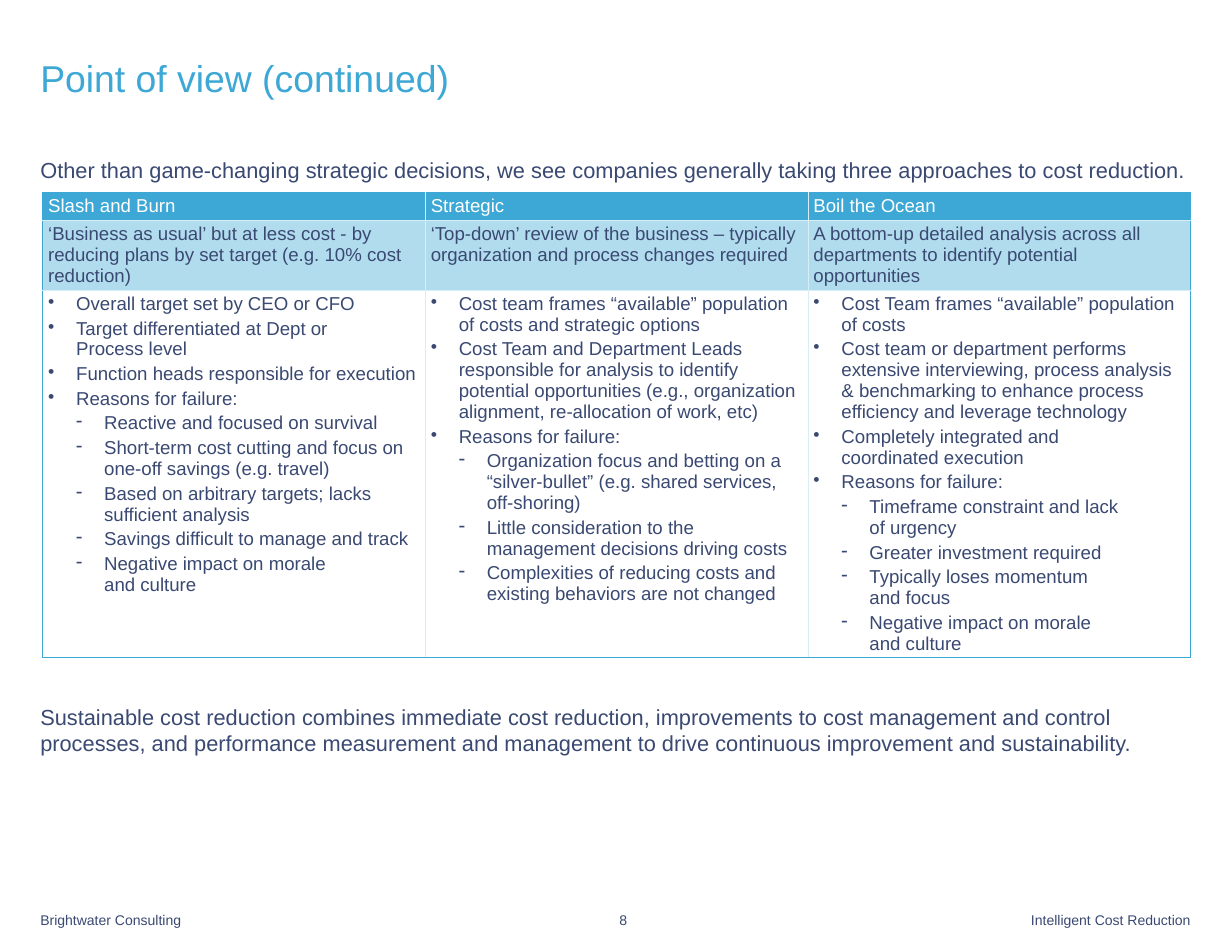
from dataclasses import dataclass

from lxml import etree
from pptx import Presentation
from pptx.dml.color import RGBColor
from pptx.enum.text import MSO_ANCHOR, MSO_AUTO_SIZE, PP_ALIGN
from pptx.oxml.ns import qn
from pptx.util import Inches, Pt

TOP, BOTTOM = MSO_ANCHOR.TOP, MSO_ANCHOR.BOTTOM
LEFT, RIGHT = PP_ALIGN.LEFT, PP_ALIGN.RIGHT
NO_FIT = MSO_AUTO_SIZE.NONE


@dataclass(frozen=True)
class Theme:
    font: str = "Arial"
    ink: str = "3A4972"
    blue: str = "3DA8D5"
    pale: str = "B1DCEE"
    rule: str = "D8EEF7"
    white: str = "FFFFFF"
    title: int = 24
    body: int = 14
    cell: int = 12
    foot: int = 9


THEME = Theme()
MARKS = ("", "•", "-")  # bullet by list level
FAIL = (1, "Reasons for failure:")
MORALE = (2, "Negative impact on morale \nand culture")

# One entry per approach: name, summary, points as (level, text)
PLANS = [
    ("Slash and Burn",
     "‘Business as usual’ but at less cost - by reducing plans by set target "
     "(e.g. 10% cost reduction)",
     [(1, "Overall target set by CEO or CFO"),
      (1, "Target differentiated at Dept or \nProcess level"),
      (1, "Function heads responsible for execution"),
      FAIL,
      (2, "Reactive and focused on survival"),
      (2, "Short-term cost cutting and focus on one-off savings (e.g. travel)"),
      (2, "Based on arbitrary targets; lacks sufficient analysis"),
      (2, "Savings difficult to manage and track"),
      MORALE]),
    ("Strategic",
     "‘Top-down’ review of the business – typically organization and process "
     "changes required",
     [(1, "Cost team frames “available” population of costs and strategic options"),
      (1, "Cost Team and Department Leads responsible for analysis to identify "
          "potential opportunities (e.g., organization alignment, "
          "re-allocation of work, etc)"),
      FAIL,
      (2, "Organization focus and betting on a “silver-bullet” "
          "(e.g. shared services, off-shoring)"),
      (2, "Little consideration to the management decisions driving costs"),
      (2, "Complexities of reducing costs and existing behaviors are not changed")]),
    ("Boil the Ocean",
     "A bottom-up detailed analysis across all departments to identify "
     "potential opportunities",
     [(1, "Cost Team frames “available” population of costs"),
      (1, "Cost team or department performs extensive interviewing, process "
          "analysis & benchmarking to enhance process efficiency and leverage "
          "technology"),
      (1, "Completely integrated and \ncoordinated execution"),
      FAIL,
      (2, "Timeframe constraint and lack \nof urgency"),
      (2, "Greater investment required"),
      (2, "Typically loses momentum \nand focus"),
      MORALE]),
]

INTRO = ("Other than game-changing strategic decisions, we see companies "
         "generally taking three approaches to cost reduction.")
CLOSE = ("Sustainable cost reduction combines immediate cost reduction, "
         "improvements to cost management and control processes, and "
         "performance measurement and management to drive continuous "
         "improvement and sustainability.")


def add_para(frame, text, size, color, level=0, align=LEFT, first=True):
    para = frame.paragraphs[0] if first else frame.add_paragraph()
    para.alignment = align
    para.line_spacing = 1.0
    para.space_before = Pt(0)
    para.space_after = Pt(size * 0.2)
    props = para._p.get_or_add_pPr()
    props.set("marL", str(Inches(0.25 * level)))
    props.set("indent", str(Inches(-0.25 if level else 0)))
    if level:
        para.level = level
        etree.SubElement(props, qn("a:buChar"), char=MARKS[level])
    else:
        etree.SubElement(props, qn("a:buNone"))
    for i, line in enumerate(text.split("\n")):
        if i:
            para.add_line_break()
        run = para.add_run()
        run.text = line
        run.font.name = THEME.font
        run.font.size = Pt(size)
        run.font.color.rgb = RGBColor.from_string(color)


def set_text(shape, box, text, size, color, align=LEFT, anchor=TOP):
    shape.left, shape.top, shape.width, shape.height = map(Inches, box)
    frame = shape.text_frame
    frame.auto_size = NO_FIT
    frame.word_wrap = True
    frame.vertical_anchor = anchor
    frame.margin_left = frame.margin_right = 0
    frame.margin_top = frame.margin_bottom = 0
    add_para(frame, text, size, color, align=align)


def add_text(slide, box, *args, **style):
    shape = slide.shapes.add_textbox(*map(Inches, box))
    set_text(shape, box, *args, **style)


def set_edge(cell, side, outer):
    color, width = (THEME.blue, 1) if outer else (THEME.rule, 0.5)
    line = etree.SubElement(cell._tc.get_or_add_tcPr(), qn("a:ln" + side),
                            w=str(Pt(width)))
    fill = etree.SubElement(line, qn("a:solidFill"))
    etree.SubElement(fill, qn("a:srgbClr"), val=color)


def set_cell(cell, items, color, fill, outer):
    cell.margin_left = cell.margin_right = Inches(0.05)
    cell.margin_top = cell.margin_bottom = Inches(0.03)
    cell.vertical_anchor = TOP
    for side in "LRTB":
        set_edge(cell, side, side in outer)
    if fill:
        cell.fill.solid()
        cell.fill.fore_color.rgb = RGBColor.from_string(fill)
    else:
        cell.fill.background()
    for i, (level, text) in enumerate(items):
        add_para(cell.text_frame, text, THEME.cell, color, level, first=not i)


def add_grid(slide):
    highs = (0.25, 0.62, 3.28)
    looks = ((THEME.white, THEME.blue), (THEME.ink, THEME.pale),
             (THEME.ink, None))
    last = len(PLANS) - 1
    box = (0.38, 1.72, 10.25, sum(highs))
    table = slide.shapes.add_table(len(highs), len(PLANS),
                                   *map(Inches, box)).table
    table.first_row = table.horz_banding = False
    for row, high in zip(table.rows, highs):
        row.height = Inches(high)
    for c, (name, gist, points) in enumerate(PLANS):
        for r, items in enumerate(([(0, name)], [(0, gist)], points)):
            outer = (("L" if c == 0 else "") + ("R" if c == last else "")
                     + ("T" if r == 0 else "")
                     + ("B" if r == len(highs) - 1 else ""))
            set_cell(table.cell(r, c), items, *looks[r], outer)


def main():
    deck = Presentation()
    deck.slide_width, deck.slide_height = Inches(11), Inches(8.5)
    slide = deck.slides.add_slide(deck.slide_layouts[1])

    # Title and statements
    set_text(slide.shapes.title, (0.36, 0.49, 10.28, 0.4),
             "Point of view (continued)", THEME.title, THEME.blue)
    set_text(slide.placeholders[1], (0.36, 1.4, 10.27, 5.37),
             INTRO, THEME.body, THEME.ink)
    add_text(slide, (0.36, 6.28, 10.27, 0.47), CLOSE, THEME.body, THEME.ink)

    # Comparison of approaches
    add_grid(slide)

    # Footer
    for box, text, align in (
            ((0.36, 8.09, 2.6, 0.2), "Brightwater Consulting", LEFT),
            ((5.45, 8.14, 0.15, 0.15), "8", RIGHT),
            ((8.03, 8.09, 2.6, 0.2), "Intelligent Cost Reduction", RIGHT)):
        add_text(slide, box, text, THEME.foot, THEME.ink,
                 align=align, anchor=BOTTOM)

    deck.save("out.pptx")


if __name__ == "__main__":
    main()
